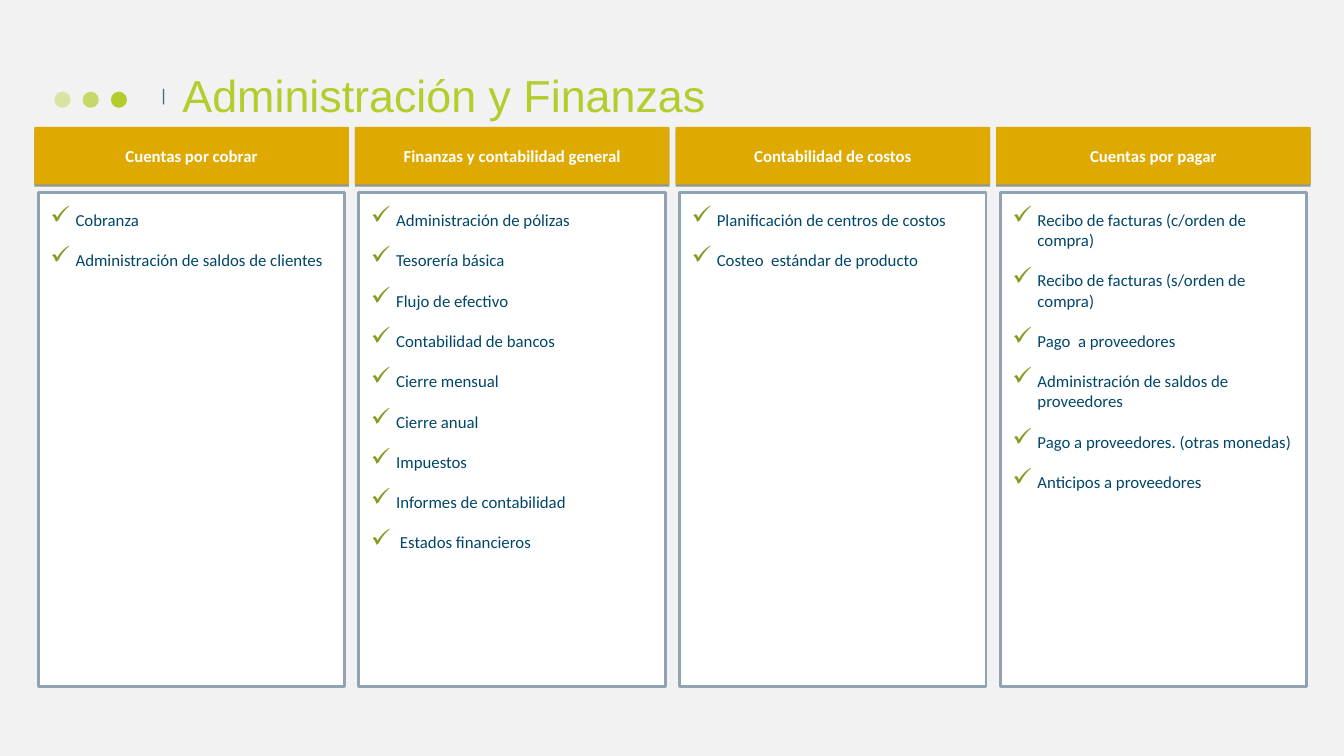
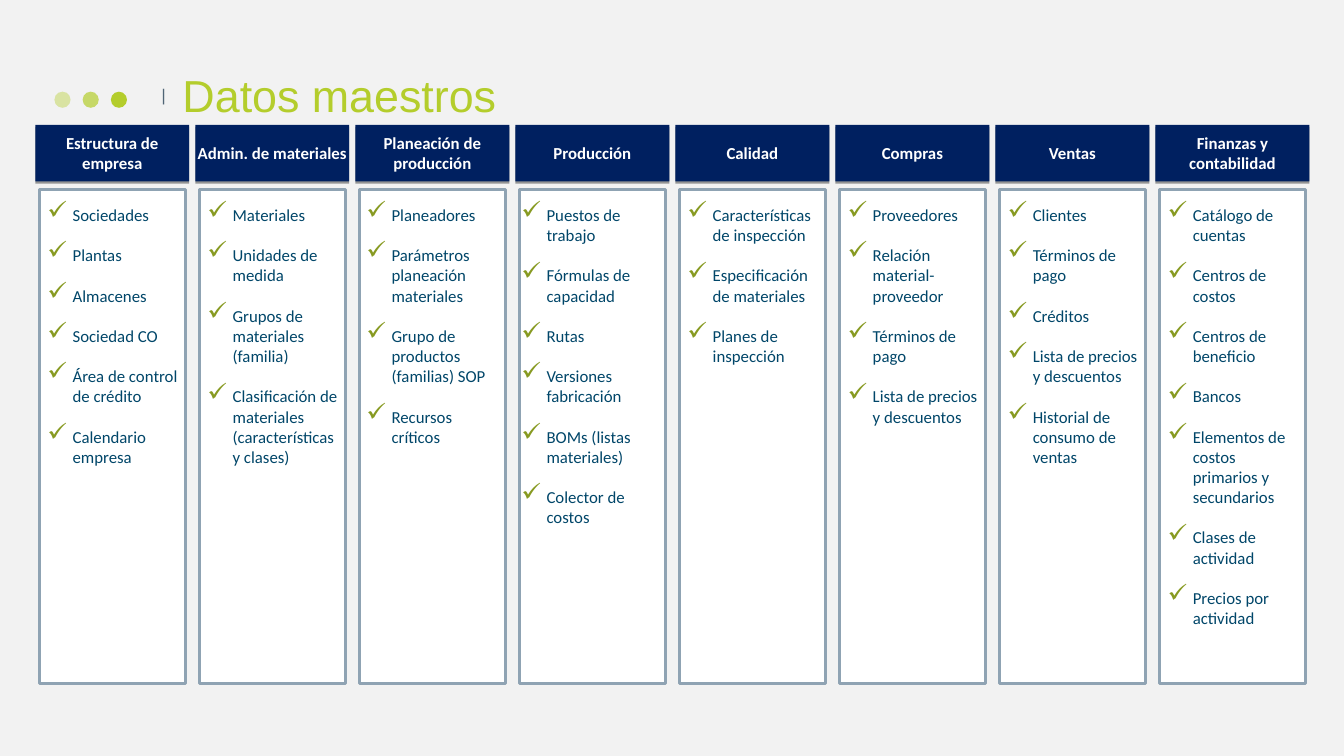
import pptx
import pptx.dml.color
import pptx.enum.shapes
import pptx.enum.text
import pptx.oxml
import pptx.oxml.ns
import pptx.util

Inches = pptx.util.Inches
Pt = pptx.util.Pt
RGB = pptx.dml.color.RGBColor
SHAPE = pptx.enum.shapes.MSO_SHAPE
ALIGN = pptx.enum.text.PP_ALIGN
ANCHOR = pptx.enum.text.MSO_ANCHOR
qn = pptx.oxml.ns.qn

PAPER = RGB(0xF2, 0xF2, 0xF2)
WHITE = RGB(0xFF, 0xFF, 0xFF)
LIME = RGB(0xB4, 0xCD, 0x2C)
OLIVE = RGB(0x87, 0x9A, 0x21)
SLATE = RGB(0x50, 0x65, 0x76)
FRAME = RGB(0x8F, 0xA3, 0xB3)
INK = RGB(0x00, 0x46, 0x69)
GOLD = RGB(0xDE, 0xA9, 0x00)
NAVY = RGB(0x00, 0x20, 0x60)

# Each column: heading, items and, where it differs, the side padding of the list.
SLIDES = [
    {
        "title": "Administración y Finanzas",
        "color": GOLD, "left": 0.34, "last": 9.88, "pad": 0.11,
        "head": 1.26, "tall": 0.57, "box": 1.91, "list": 2.08,
        "columns": [
            ("Cuentas por cobrar", ["Cobranza", "Administración de saldos de clientes"]),
            ("Finanzas y contabilidad general", [
                "Administración de pólizas", "Tesorería básica", "Flujo de efectivo",
                "Contabilidad de bancos", "Cierre mensual", "Cierre anual", "Impuestos",
                "Informes de contabilidad", " Estados financieros"]),
            ("Contabilidad de costos", [
                "Planificación de centros de costos", "Costeo  estándar de producto"]),
            ("Cuentas por pagar", [
                "Recibo de facturas (c/orden de compra)",
                "Recibo de facturas (s/orden de compra)", "Pago  a proveedores",
                "Administración de saldos de proveedores",
                "Pago a proveedores. (otras monedas)", "Anticipos a proveedores"]),
        ],
    },
    {
        "title": "Datos maestros",
        "color": NAVY, "left": 0.35, "last": 11.46, "pad": 0.07,
        "head": 1.24, "tall": 0.56, "box": 1.88, "list": 2.03,
        "columns": [
            ("Estructura de empresa", [
                "Sociedades", "Plantas", "Almacenes", "Sociedad CO",
                "Área de control de crédito", "Calendario empresa"]),
            ("Admin. de materiales", [
                "Materiales", "Unidades de medida", "Grupos de materiales (familia)",
                "Clasificación de materiales (características y clases)"]),
            ("Planeación de producción", [
                "Planeadores", "Parámetros planeación materiales",
                "Grupo de productos (familias) SOP", "Recursos críticos"], 0.06),
            ("Producción", [
                "Puestos de trabajo", "Fórmulas de capacidad", "Rutas",
                "Versiones fabricación", "BOMs (listas materiales)",
                "Colector de costos"], 0.01),
            ("Calidad", [
                "Características de inspección", "Especificación de materiales",
                "Planes de inspección"]),
            ("Compras", [
                "Proveedores", "Relación material-proveedor", "Términos de pago",
                "Lista de precios y descuentos"]),
            ("Ventas", [
                "Clientes", "Términos de pago", "Créditos",
                "Lista de precios y descuentos", "Historial de consumo de ventas"]),
            ("Finanzas y contabilidad", [
                "Catálogo de cuentas", "Centros de costos", "Centros de beneficio",
                "Bancos", "Elementos de costos primarios y secundarios",
                "Clases de actividad", "Precios por actividad"]),
        ],
    },
]

GAP = 0.06
INSET = 0.04
DEPTH = 4.9
DOTS = [(1.1, 100), (0.82, 70), (0.54, 40)]  # left, opacity in percent


def node(parent, tag, **attrs):
    """Append a drawing element with the given attributes."""
    child = parent.makeelement(qn(tag), {k: str(v) for k, v in attrs.items()})
    parent.append(child)
    return child


def write(shape, lines, size=12, font="Calibri", color=INK, bold=False,
          align=ALIGN.LEFT, anchor=ANCHOR.TOP, inset=(0, 0, 0, 0),
          after=None, spacing=None, check=False):
    frame = shape.text_frame
    frame.word_wrap = True
    frame.auto_size = pptx.enum.text.MSO_AUTO_SIZE.NONE
    frame.vertical_anchor = anchor
    (frame.margin_left, frame.margin_top,
     frame.margin_right, frame.margin_bottom) = map(Inches, inset)
    for n, line in enumerate(lines):
        para = frame.add_paragraph() if n else frame.paragraphs[0]
        para.alignment = align
        if after is not None:
            para.space_after = Pt(after)
        if spacing is not None:
            para.line_spacing = spacing
        run = para.add_run()
        run.text = line
        run.font.size = Pt(size)
        run.font.name = font
        run.font.bold = bold
        run.font.color.rgb = color
        if check:
            mark(para)


def mark(para):
    """Give a paragraph a hanging check mark."""
    props = para._p.get_or_add_pPr()
    props.set("marL", str(Inches(0.25)))
    props.set("indent", str(-Inches(0.25)))
    node(node(props, "a:buClr"), "a:srgbClr", val=OLIVE)
    node(props, "a:buSzPct", val=150000)
    node(props, "a:buChar", char="✓")


def draw(slide, kind, left, top, width, height, fill, line=None):
    shape = slide.shapes.add_shape(
        kind, Inches(left), Inches(top), Inches(width), Inches(height))
    shape.shadow.inherit = False
    shape.fill.solid()
    shape.fill.fore_color.rgb = fill
    if line is None:
        shape.line.fill.background()
    else:
        shape.line.color.rgb = line
        shape.line.width = Pt(2)
    return shape


def label(slide, left, top, width, height, lines, **style):
    box = slide.shapes.add_textbox(
        Inches(left), Inches(top), Inches(width), Inches(height))
    write(box, lines, **style)
    return box


def shade(shape):
    """Cast a thin hard shadow below the shape."""
    effects = shape.element.spPr.find(qn("a:effectLst"))
    cast = node(effects, "a:outerShdw", blurRad=0, dist=Pt(1.6), dir=5400000,
                algn="t", rotWithShape=0)
    node(node(cast, "a:srgbClr", val="000000"), "a:alpha", val=38000)


def trim(layout, slide):
    """Draw the dots and bar, then move them to the layout all slides share."""
    parts = []
    for left, solid in DOTS:
        dot = draw(slide, SHAPE.OVAL, left, 0.91, 0.16, 0.16, LIME)
        tint = dot.element.spPr.find(qn("a:solidFill"))[0]
        node(tint, "a:alpha", val=solid * 1000)
        parts.append(dot)
    parts.append(label(slide, 1.6, 0.88, 0.08, 0.16, ["|"], size=13.3, font="Roboto",
                       color=SLATE, inset=(0, 0.05, 0, 0), spacing=0.5))
    for part in parts:
        layout.shapes.element.append(part.element)


def setup(deck):
    """Set page size, background and title place; return the layout."""
    deck.slide_width, deck.slide_height = Inches(13.33), Inches(7.5)
    back = deck.slide_master.background.fill
    back.solid()
    back.fore_color.rgb = PAPER
    layout = deck.slide_layouts[5]
    title, *spare = layout.placeholders
    for holder in spare:
        layout.shapes.element.remove(holder.element)
    title.left, title.top = Inches(1.71), Inches(0.33)
    title.width, title.height = Inches(10.49), Inches(0.93)
    return layout


def fill(slide, page):
    write(slide.shapes.title, [page["title"]], size=32, font="Arial", color=LIME,
          anchor=ANCHOR.BOTTOM, inset=(0.1, 0.05, 0.1, 0.05))
    step = (page["last"] - page["left"]) / (len(page["columns"]) - 1)
    width = step - GAP
    for n, (name, items, *own) in enumerate(page["columns"]):
        left = page["left"] + n * step
        pad = own[0] if own else page["pad"]
        draw(slide, SHAPE.RECTANGLE, left + INSET, page["box"],
             width - 2 * INSET, DEPTH, WHITE, FRAME)
        head = draw(slide, SHAPE.RECTANGLE, left, page["head"],
                    width, page["tall"], page["color"])
        shade(head)
        write(head, [name], color=WHITE, bold=True, align=ALIGN.CENTER,
              anchor=ANCHOR.MIDDLE, inset=(0.01, 0.01, 0.01, 0.01))
        label(slide, left + pad, page["list"], width - 2 * pad,
              page["box"] + DEPTH - page["list"], items,
              inset=(0.05, 0, 0.01, 0), after=14.4, check=True)


def main():
    deck = pptx.Presentation()
    layout = setup(deck)
    slides = [deck.slides.add_slide(layout) for page in SLIDES]
    trim(layout, slides[0])
    for slide, page in zip(slides, SLIDES):
        fill(slide, page)
    deck.save("out.pptx")


if __name__ == "__main__":
    main()
